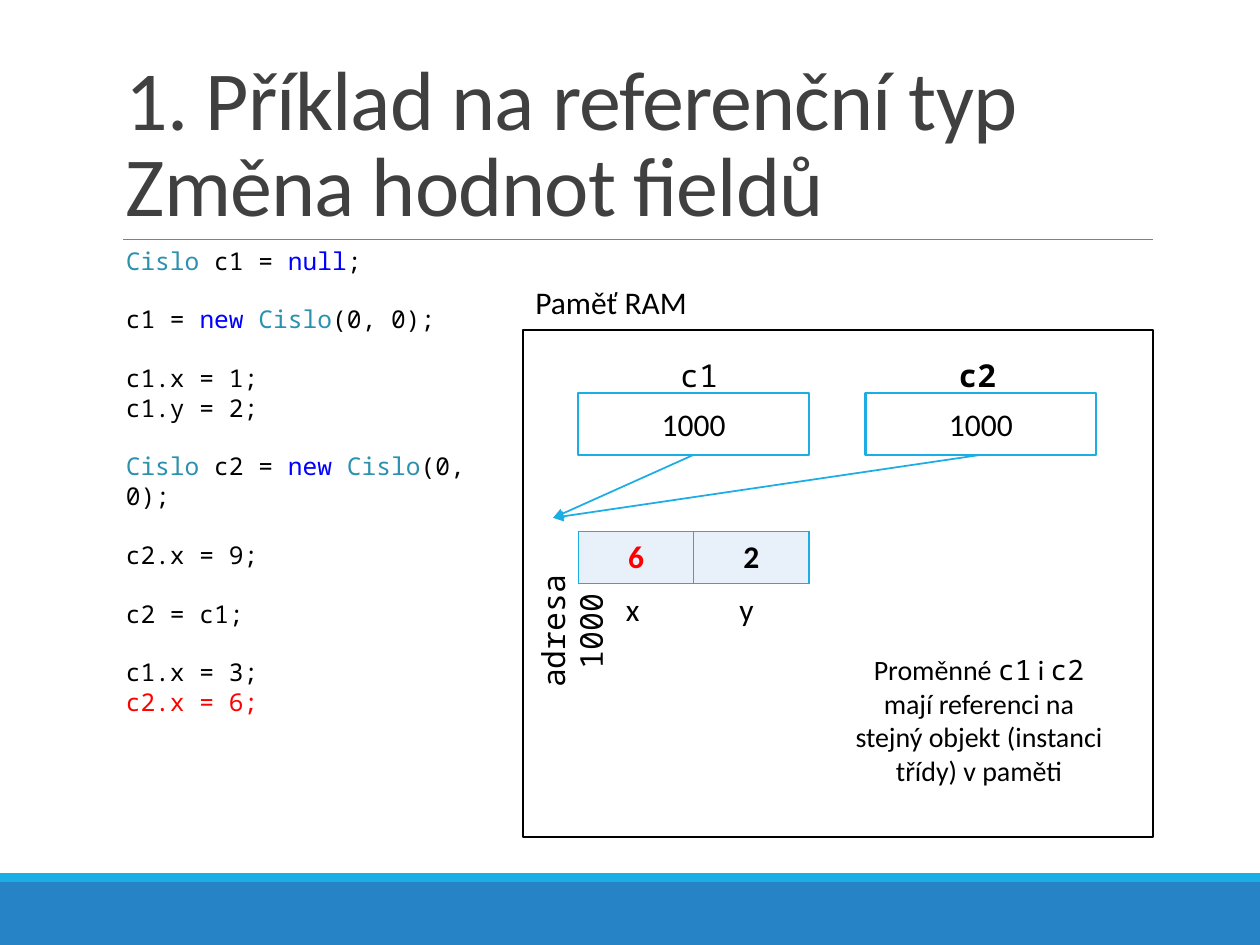
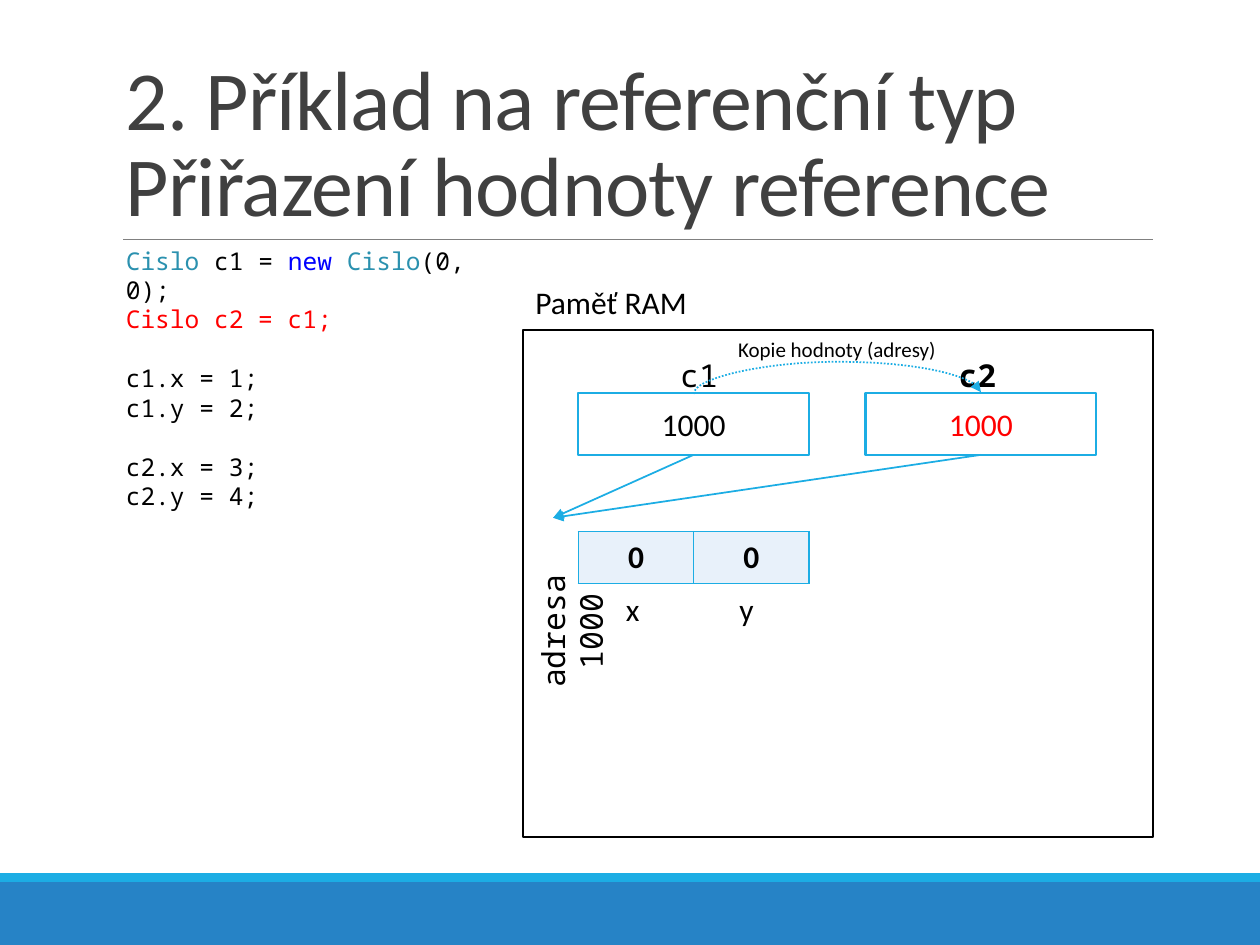
from lxml.etree import SubElement
from pptx import Presentation
from pptx.dml.color import RGBColor
from pptx.enum.dml import MSO_LINE
from pptx.enum.shapes import MSO_CONNECTOR, MSO_SHAPE
from pptx.enum.text import MSO_ANCHOR, MSO_AUTO_SIZE, PP_ALIGN
from pptx.oxml.ns import qn
from pptx.util import Inches, Pt

BLACK = RGBColor(0x00, 0x00, 0x00)
WHITE = RGBColor(0xFF, 0xFF, 0xFF)
RED = RGBColor(0xFF, 0x00, 0x00)
BAND = RGBColor(0x26, 0x83, 0xC6)
ACCENT = RGBColor(0x1C, 0xAD, 0xE4)
RULE = RGBColor(0x80, 0x80, 0x80)
HEADING = RGBColor(0x40, 0x40, 0x40)
FIELD = RGBColor(0xE8, 0xF1, 0xFA)
TYPE_NAME = RGBColor(0x2B, 0x91, 0xAF)
KEYWORD = RGBColor(0x00, 0x00, 0xFF)

SYNTAX = {"Cislo": TYPE_NAME, "new": KEYWORD, "null": KEYWORD}
SANS, MONO = "Calibri", "Noto Sans Mono"
COLUMNS, ROWS = 100, 75
RAM_LEFT, RAM_TOP, RAM_WIDTH, RAM_HEIGHT = 41.5, 26.2, 50, 40.2
VARIABLE_TOP, VARIABLE_WIDTH, VARIABLE_HEIGHT = 31.2, 18.3, 4.9
C1_LEFT, C2_LEFT = 45.9, 68.7
OBJECT_TOP, OBJECT_HEIGHT = 42.2, 4.1
ADDRESS_POINT = (43.9, 41.1)


class MemoryDeck:
    """Draw memory diagrams on a 100 by 75 grid in one style."""

    def __init__(self):
        self.deck = Presentation()
        self.deck.slide_width, self.deck.slide_height = Inches(10), Inches(7.5)
        self.column = self.deck.slide_width / COLUMNS
        self.row = self.deck.slide_height / ROWS
        self.shapes = None

    def place(self, left, top, width, height):
        return (round(left * self.column), round(top * self.row),
                round(width * self.column), round(height * self.row))

    def style(self, paragraph, size, name=SANS, color=BLACK, bold=False, align=PP_ALIGN.LEFT):
        font = paragraph.font
        font.size, font.name, font.bold = Pt(size), name, bold
        font.color.rgb = color
        paragraph.alignment = align

    def box(self, area, fill, outline=None):
        box = self.shapes.add_shape(MSO_SHAPE.RECTANGLE, *self.place(*area))
        box.shadow.inherit = False
        box.fill.solid()
        box.fill.fore_color.rgb = fill
        if outline is None:
            box.line.fill.background()
        else:
            box.line.color.rgb = outline
            box.line.width = Pt(1.25)
        return box

    def text(self, area, words="", size=18, wrap=False, **look):
        label = self.shapes.add_textbox(*self.place(*area))
        frame = label.text_frame
        frame.word_wrap = wrap
        frame.auto_size = MSO_AUTO_SIZE.SHAPE_TO_FIT_TEXT
        frame.paragraphs[0].text = words
        self.style(frame.paragraphs[0], size, **look)
        return label

    def line(self, start, end, color=ACCENT, width=1, arrow=True, kind=MSO_CONNECTOR.STRAIGHT,
             dash=None):
        line = self.shapes.add_connector(kind, *self.place(*start, *end))
        line.line.color.rgb = color
        line.line.width = Pt(width)
        if dash:
            line.line.dash_style = dash
        if arrow:
            SubElement(line.line._get_or_add_ln(), qn("a:tailEnd"), type="triangle")
        SubElement(line._element.spPr, qn("a:effectLst"))
        return line

    def start_slide(self, title):
        self.shapes = self.deck.slides.add_slide(self.deck.slide_layouts[6]).shapes
        self.box((0, 70, COLUMNS, 5), BAND)
        self.box((0, 69.3, COLUMNS, 0.7), ACCENT)
        self.line((9.8, 19), (91.5, 19), RULE, 0.5, arrow=False)
        heading = self.text((9, 3.1, 82.5, 15.9), title, 48, wrap=True, color=HEADING)
        frame = heading.text_frame
        frame.auto_size = MSO_AUTO_SIZE.NONE
        frame.vertical_anchor = MSO_ANCHOR.BOTTOM
        frame.paragraphs[0].line_spacing = 0.85
        for run in frame.paragraphs[0].runs:
            run._r.get_or_add_rPr().set("spc", "-50")

    def code(self, height, blocks, highlight):
        frame = self.text((9, 19, 31.2, height), wrap=True).text_frame
        paragraph = frame.paragraphs[0]
        for block_number, block in enumerate(blocks):
            for line_number, pieces in enumerate(block):
                if block_number or line_number:
                    paragraph = frame.add_paragraph()
                self.style(paragraph, 14, MONO)
                if block_number and not line_number:
                    paragraph.space_before = Pt(16.8)
                marked = "".join(pieces) == highlight
                for piece in pieces:
                    run = paragraph.add_run()
                    run.text = piece
                    run.font.color.rgb = RED if marked else SYNTAX.get(piece.strip(), BLACK)

    def variable(self, name, left, label_left, color=BLACK, bold=False):
        cell = self.box((left, VARIABLE_TOP, VARIABLE_WIDTH, VARIABLE_HEIGHT), WHITE, ACCENT)
        cell.text_frame.vertical_anchor = MSO_ANCHOR.MIDDLE
        value = cell.text_frame.paragraphs[0]
        value.text = "1000"
        self.style(value, 18, color=color, align=PP_ALIGN.CENTER)
        self.text((label_left, 27.8, 5.4, 4), name, name=MONO, bold=bold)
        self.line((left + VARIABLE_WIDTH / 2, VARIABLE_TOP + VARIABLE_HEIGHT), ADDRESS_POINT)

    def fields(self, values):
        area = self.place(C1_LEFT, OBJECT_TOP, VARIABLE_WIDTH, OBJECT_HEIGHT)
        table = self.shapes.add_table(1, len(values), *area).table
        table.first_row = table.horz_banding = False
        for cell, (value, color) in zip(table.iter_cells(), values):
            paragraph = cell.text_frame.paragraphs[0]
            paragraph.text = value
            self.style(paragraph, 18, color=color, bold=True, align=PP_ALIGN.CENTER)
            for side in ("a:lnL", "a:lnR", "a:lnT", "a:lnB"):
                border = SubElement(cell._tc.get_or_add_tcPr(), qn(side), w=str(Pt(1)))
                SubElement(SubElement(border, qn("a:solidFill")), qn("a:srgbClr"), val=str(ACCENT))
            cell.fill.solid()
            cell.fill.fore_color.rgb = FIELD
        names = self.text((C1_LEFT, OBJECT_TOP + OBJECT_HEIGHT, VARIABLE_WIDTH, 4), "\tx\ty",
                          wrap=True)
        stops = SubElement(names.text_frame.paragraphs[0]._p.get_or_add_pPr(), qn("a:tabLst"))
        defaults = stops.getparent().find(qn("a:defRPr"))
        defaults.addprevious(stops)
        for stop in (2.8, 11.8):
            SubElement(stops, qn("a:tab"), pos=str(round(stop * self.column)), algn="l")

    def memory(self, values, c2_color=BLACK):
        self.box((RAM_LEFT, RAM_TOP, RAM_WIDTH, RAM_HEIGHT), WHITE, BLACK)
        self.text((RAM_LEFT, 22, 18.6, 4), "Paměť RAM")
        self.variable("c1", C1_LEFT, 53)
        self.variable("c2", C2_LEFT, 75.1, c2_color, bold=True)
        self.fields(values)
        address = self.text((34.8, 48.1, 18.1, 4), "adresa 1000", wrap=True, name=MONO,
                            align=PP_ALIGN.CENTER)
        address.rotation = 270

    def note(self, area, pieces):
        note = self.text(area, size=16, wrap=True, align=PP_ALIGN.CENTER)
        for words, name in pieces:
            run = note.text_frame.paragraphs[0].add_run()
            run.text, run.font.name = words, name

    def copy_arc(self, caption):
        arc = self.line((66.52, 42.6), (66.38, 19.8), kind=MSO_CONNECTOR.CURVE,
                        dash=MSO_LINE.ROUND_DOT)
        properties = arc._element.spPr
        properties.find(qn("a:xfrm")).set("rot", str(90 * 60000))
        geometry = properties.find(qn("a:prstGeom"))
        bends = geometry.find(qn("a:avLst"))
        if bends is None:
            bends = SubElement(geometry, qn("a:avLst"))
        SubElement(bends, qn("a:gd"), name="adj1", fmla="val 1800000")
        self.text((57.6, RAM_TOP, 17.8, 3), caption, 12)

    def line_end_points(self, start, end):
        return start, end

    def place_line(self, start, end):
        return self.place(*start, *end)


def main():
    new_object = ["new ", "Cislo", "(0, 0);"]
    set_c1 = [["c1.x = 1;"], ["c1.y = 2;"]]
    deck = MemoryDeck()

    deck.start_slide("1. Příklad na referenční typ\vZměna hodnot fieldů")
    deck.memory([("6", RED), ("2", BLACK)])
    deck.code(36.4, [
        [["Cislo", " c1 = ", "null", ";"]],
        [["c1 = ", *new_object]],
        set_c1,
        [["Cislo", " c2 = ", *new_object]],
        [["c2.x = 9;"]],
        [["c2 = c1;"]],
        [["c1.x = 3;"], ["c2.x = 6;"]],
    ], highlight="c2.x = 6;")
    deck.note((66.3, 51.3, 22.8, 11.8), [
        ("Proměnné ", SANS), ("c1", MONO), (" i ", SANS), ("c2", MONO),
        (" mají referenci na stejný objekt (instanci třídy) v paměti", SANS),
    ])

    deck.start_slide("2. Příklad na referenční typ\vPřiřazení hodnoty reference")
    deck.memory([("0", BLACK), ("0", BLACK)], c2_color=RED)
    deck.code(19.9, [
        [["Cislo", " c1 = ", *new_object], ["Cislo c2 = c1;"]],
        set_c1,
        [["c2.x = 3;"], ["c2.y = 4;"]],
    ], highlight="Cislo c2 = c1;")
    deck.copy_arc("Kopie hodnoty (adresy)")

    deck.deck.save("out.pptx")


main()
